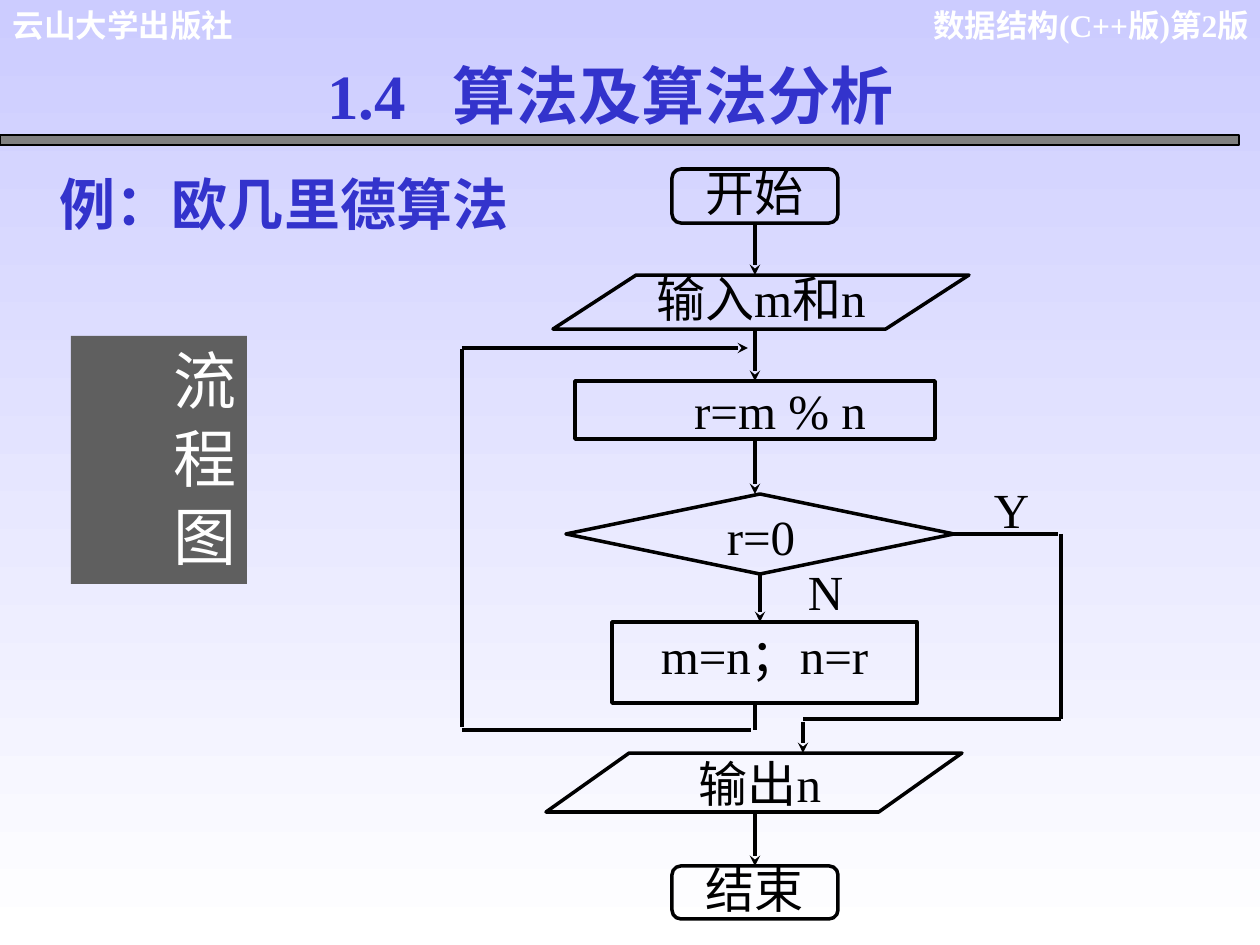
from lxml.etree import SubElement
from pptx import Presentation
from pptx.dml.color import RGBColor
from pptx.enum.shapes import MSO_CONNECTOR, MSO_SHAPE as Kind
from pptx.enum.text import MSO_ANCHOR, MSO_AUTO_SIZE, PP_ALIGN as Align
from pptx.oxml.ns import qn
from pptx.util import Pt

PX = 914400 / 126
INK = {"black": "000000", "white": "FFFFFF", "blue": "3333CC", "sky": "CCCCFF",
       "bar": "808080", "panel": "5F5F5F"}
SERIF, SANS = "Times New Roman", "Arial"

TITLE = ("1.4\t算法及算法分析", (314, 50, 688, 88))
GAP = 125

LABELS = [
    ("数据结构(C++版)第2版", (910, 0, 339, 88), (0, 6), 18, SERIF, "white", True, Align.RIGHT),
    ("云山大学出版社", (0, 0, 341, 50), (13, 6), 18, SANS, "white", True, Align.LEFT),
    ("例：欧几里德算法", (47, 163, 665, 81), (13, 6), 32, SANS, "blue", True, Align.LEFT),
    ("N", (808, 561, 35, 44), (0, 0), 28, SERIF, "black", False, Align.CENTER),
    ("Y", (982, 479, 59, 44), (0, 0), 28, SERIF, "black", False, Align.CENTER),
    ("r=0", (723, 507, 76, 44), (0, 0), 28, SERIF, "black", False, Align.CENTER),
]

ROUND, SLANT = Kind.FLOWCHART_ALTERNATE_PROCESS, Kind.FLOWCHART_DATA
STEP, TEST = Kind.FLOWCHART_PROCESS, Kind.FLOWCHART_DECISION
NODES = {
    "start": (ROUND, "开始", (672, 169, 166, 54), (8, 0, 8), 0.85),
    "input": (SLANT, "输入m和n", (553, 275, 416, 54), (3, 0, 3), 0.9),
    "mod": (STEP, "r=m % n", (575, 381, 360, 58), (53, 0, 3), 1.0),
    "test": (TEST, "", (566, 494, 388, 80), (0, 0, 0), 1.0),
    "swap": (STEP, "m=n；n=r", (612, 622, 305, 81), (13, 15, 13), 0.8),
    "output": (SLANT, "输出n", (546, 753, 416, 59), (20, 0, 8), 1.0),
    "end": (ROUND, "结束", (672, 866, 166, 53), (8, 0, 8), 0.85),
}

LINES = [
    ((755, 223), (755, 275), True, ("start", 2), None),
    ((755, 329), (755, 381), True, None, ("mod", 0)),
    ((755, 439), (755, 494), True, ("mod", 2), None),
    ((760, 574), (760, 622), True, ("test", 2), None),
    ((755, 812), (755, 866), True, None, ("end", 0)),
    ((954, 534), (1058, 534), False, ("test", 3), None),
    ((1061, 534), (1061, 719), False, None, None),
    ((1061, 719), (803, 719), False, None, None),
    ((803, 722), (803, 753), True, None, None),
    ((755, 703), (755, 730), False, None, None),
    ((751, 730), (462, 730), False, None, None),
    ((462, 727), (462, 349), False, None, None),
    ((462, 348), (748, 348), True, None, None),
]


def emu(*vals):
    return [round(v * PX) for v in vals]


def tint(name):
    return RGBColor.from_string(INK[name])


def write(shape, text, pad, size, font, ink, bold=False, align=Align.LEFT, wrap=True, lead=None):
    frame = shape.text_frame
    frame.text = text
    frame.word_wrap = wrap
    frame.auto_size = MSO_AUTO_SIZE.NONE
    frame.vertical_anchor = MSO_ANCHOR.TOP
    (frame.margin_left, frame.margin_top,
     frame.margin_right, frame.margin_bottom) = emu(*pad)
    para = frame.paragraphs[0]
    para.alignment = align
    if lead:
        para.line_spacing = lead
    for run in para.runs:
        run.font.name, run.font.size, run.font.bold = font, Pt(size), bold
        run.font.color.rgb = tint(ink)
    return para


def draw(kind, box, fill=None, line=None, width=2):
    shape = slide.shapes.add_shape(kind, *emu(*box))
    shape.shadow.inherit = False
    if fill:
        shape.fill.solid()
        shape.fill.fore_color.rgb = tint(fill)
    else:
        shape.fill.background()
    if line:
        shape.line.color.rgb = tint(line)
        shape.line.width = Pt(width)
    else:
        shape.line.fill.background()
    return shape


def link(start, end, arrow, src, dst):
    wire = slide.shapes.add_connector(MSO_CONNECTOR.STRAIGHT, *emu(*start, *end))
    if src:
        wire.begin_connect(made[src[0]], src[1])
    if dst:
        wire.end_connect(made[dst[0]], dst[1])
    wire.line.color.rgb = tint("black")
    wire.line.width = Pt(2)
    if arrow:
        SubElement(wire.line._get_or_add_ln(), qn("a:tailEnd"), type="stealth")
    SubElement(wire._element.spPr, qn("a:effectLst"))


deck = Presentation()
deck.slide_width, deck.slide_height = emu(1260, 945)
slide = deck.slides.add_slide(deck.slide_layouts[5])

back = slide.background.fill
back.gradient()
back.gradient_angle = 270
for stop, ink in zip(back.gradient_stops, ("sky", "white")):
    stop.color.rgb = tint(ink)

draw(Kind.RECTANGLE, (0, 135, 1239, 10), "bar", "black", 0.75)

title = slide.shapes.title
text, box = TITLE
title.left, title.top, title.width, title.height = emu(*box)
para = write(title, text, (13, 6, 13, 6), 36, SERIF, "blue", True)
tabs = SubElement(para._p.get_or_add_pPr(), qn("a:tabLst"))
SubElement(tabs, qn("a:tab"), pos=str(emu(GAP)[0]), algn="l")

for text, box, pad, *style in LABELS:
    write(slide.shapes.add_textbox(*emu(*box)), text, pad * 2, *style)

made = {}
for name, (kind, text, box, pad, lead) in NODES.items():
    made[name] = draw(kind, box, line="black")
    if text:
        write(made[name], text, (*pad, 0), 28, SERIF, "black",
              align=Align.CENTER, wrap=False, lead=lead)

for row in LINES:
    link(*row)

panel = draw(Kind.RECTANGLE, (71, 336, 176, 248), "panel")
write(panel, "流 程 图", (6, 13, 6, 13), 36, SERIF, "white", align=Align.JUSTIFY)
panel.text_frame._txBody.bodyPr.set("vert", "eaVert")

deck.save("out.pptx")
